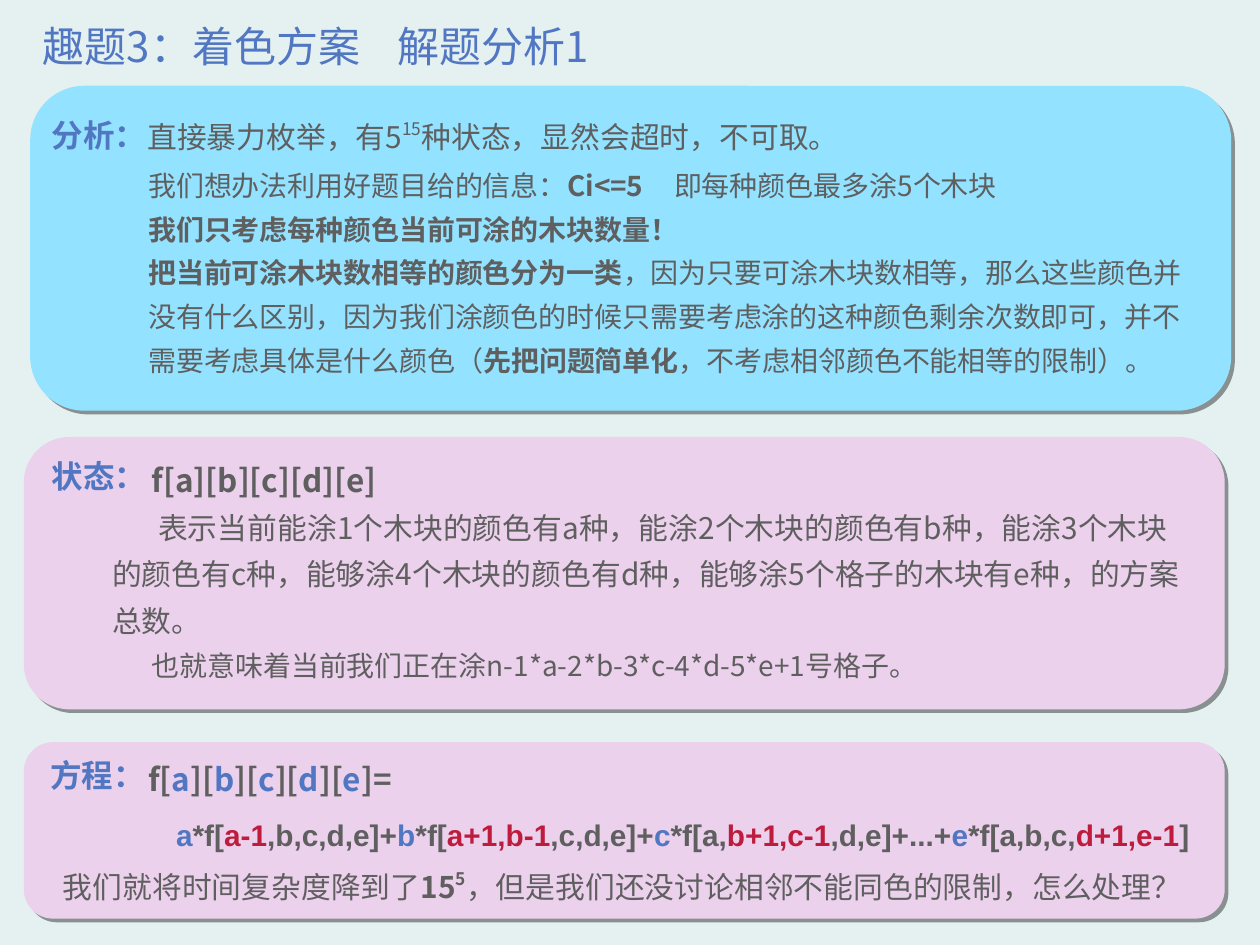
"""Build the slide analysing the block-colouring puzzle."""
from lxml import etree
from pptx import Presentation, util as u
from pptx.dml.color import RGBColor
from pptx.enum import shapes, text
from pptx.oxml.ns import qn

CJK, ARIAL = "Noto Sans CJK SC", "Arial"
BACK = RGBColor(0xE5, 0xF1, 0xF1)
SKY = RGBColor(0x93, 0xE2, 0xFF)
PINK = RGBColor(0xEC, 0xD1, 0xED)
BLUE = RGBColor(0x52, 0x77, 0xC2)
GREY = RGBColor(0x5F, 0x5F, 0x5F)
RED = RGBColor(0xBE, 0x1C, 0x3D)
COLOURS = {"g": GREY, "u": BLUE, "r": RED}

TITLE = "趣题3：着色方案\t解题分析1"
PANEL_WIDTH = 24.21
PANELS = [(0.61, 1.73, 6.55, SKY), (0.48, 8.81, 5.49, PINK), (0.48, 14.96, 3.56, PINK)]
LABELS = [("分析：", 0.79, 2.06), ("状态：", 0.79, 8.94), ("方程：", 0.76, 14.96)]

# Run styles: g grey, u blue, r red, b bold, ^ superscript
BRUTE_FORCE = [("直接暴力枚举，有5", "g"), ("15", "g^"), ("种状态，显然会超时，不可取。", "g")]
HINT = [("我们想办法利用好题目给的信息：", "g"), ("Ci<=5", "gb"), ("\t即每种颜色最多涂5个木块", "g")]
IDEA = [("我们只考虑每种颜色当前可涂的木块数量！", "gb")]
GROUPING = [
    ("把当前可涂木块数相等的颜色分为一类", "gb"),
    ("，因为只要可涂木块数相等，那么这些颜色并没有什么区别，因为我们涂颜色的时候"
     "只需要考虑涂的这种颜色剩余次数即可，并不需要考虑具体是什么颜色（", "g"),
    ("先把问题简单化", "gb"),
    ("，不考虑相邻颜色不能相等的限制）。", "g"),
]
STATE = [("f[a][b][c][d][e]", "gb")]
MEANING = [("表示当前能涂1个木块的颜色有a种，能涂2个木块的颜色有b种，能涂3个木块的颜色有c种，"
            "能够涂4个木块的颜色有d种，能够涂5个格子的木块有e种，的方案总数。", "g")]
POSITION = [("也就意味着当前我们正在涂n-1*a-2*b-3*c-4*d-5*e+1号格子。", "g")]
LEFT_SIDE = [("f[", "gb"), ("a", "ub"), ("][", "gb"), ("b", "ub"), ("][", "gb"), ("c", "ub"),
             ("][", "gb"), ("d", "ub"), ("][", "gb"), ("e", "ub"), ("]=", "gb")]
RIGHT_SIDE = [("a", "ub"), ("*f[", "gb"), ("a-1", "rb"), (",b,c,d,e]+", "gb"),
              ("b", "ub"), ("*f[", "gb"), ("a+1,b-1", "rb"), (",c,d,e]+", "gb"),
              ("c", "ub"), ("*f[a,", "gb"), ("b+1,c-1", "rb"), (",d,e]+...+", "gb"),
              ("e", "ub"), ("*f[a,b,c,", "gb"), ("d+1,e-1", "rb"), ("]", "gb")]
COST = [("我们就将时间复杂度降到了", "g"), ("15", "gb"), ("5", "gb^"),
        ("，但是我们还没讨论相邻不能同色的限制，怎么处理？", "g")]

BODIES = [
    ((2.72, 2.03, 21.72, 1.2), CJK, [(17, 0, BRUTE_FORCE)]),
    ((2.74, 3.07, 21.72, 4.67), CJK, [(16, 0, HINT), (16, 0, IDEA), (16, 0, GROUPING)]),
    ((2.01, 8.94, 22.1, 5), CJK, [(18, 0.8, STATE), (17, 0.93, MEANING), (16, 0.8, POSITION)]),
    ((2.74, 14.96, 22.1, 1.24), CJK, [(18, 0, LEFT_SIDE)]),
    ((3.3, 16.13, 21.51, 1.19), ARIAL, [(17, 0, RIGHT_SIDE)]),
    ((1.02, 17.15, 23.67, 1.22), CJK, [(17, 0, COST)]),
]
HINT_TAB, TITLE_TAB = 10.6, 7.15


def add_run(p, words, style, size, font):
    r = p.add_run()
    r.text = words
    r.font.size, r.font.name = u.Pt(size), font
    r.font.bold = "b" in style
    r.font.color.rgb = COLOURS[style[0]]
    rpr = r._r.get_or_add_rPr()
    etree.SubElement(rpr, qn("a:ea"), typeface=CJK)
    if "^" in style:
        rpr.set("baseline", "45000")


def fill_paragraph(p, runs, size, font, spacing, indent=0, tab=HINT_TAB):
    p.line_spacing = spacing
    p.alignment = text.PP_ALIGN.LEFT
    ppr = p._p.get_or_add_pPr()
    if indent:
        ppr.set("marL", "0")
        ppr.set("indent", str(u.Cm(indent)))
    if any("\t" in words for words, _ in runs):
        tabs = etree.SubElement(ppr, qn("a:tabLst"))
        etree.SubElement(tabs, qn("a:tab"), pos=str(u.Cm(tab)), algn="l")
    for words, style in runs:
        add_run(p, words, style, size, font)


def add_panel(s, left, top, height, colour):
    sp = s.shapes.add_shape(shapes.MSO_SHAPE.FLOWCHART_ALTERNATE_PROCESS,
                            *map(u.Cm, (left, top, PANEL_WIDTH, height)))
    sp.fill.solid()
    sp.fill.fore_color.rgb = colour
    sp.line.fill.background()
    sp.shadow.inherit = False
    effects = sp._element.spPr.find(qn("a:effectLst"))
    shadow = etree.SubElement(effects, qn("a:outerShdw"), blurRad="0", dist=str(u.Pt(3)),
                              dir="2700000", algn="tl", rotWithShape="0")
    black = etree.SubElement(shadow, qn("a:srgbClr"), val="000000")
    etree.SubElement(black, qn("a:alpha"), val="40000")


def add_text(s, box, font, paragraphs, spacing):
    tf = s.shapes.add_textbox(*map(u.Cm, box)).text_frame
    tf.word_wrap = True
    tf.auto_size = text.MSO_AUTO_SIZE.SHAPE_TO_FIT_TEXT
    for i, (size, indent, runs) in enumerate(paragraphs):
        p = tf.add_paragraph() if i else tf.paragraphs[0]
        fill_paragraph(p, runs, size, font, spacing, indent)


def main():
    prs = Presentation()
    prs.slide_width, prs.slide_height = u.Cm(25.4), u.Cm(19.05)
    s = prs.slides.add_slide(prs.slide_layouts[5])
    s.background.fill.solid()
    s.background.fill.fore_color.rgb = BACK

    title = s.shapes.title
    title.left, title.top, title.width, title.height = map(u.Cm, (0.61, -0.18, 21.9, 2.34))
    tf = title.text_frame
    tf.auto_size = text.MSO_AUTO_SIZE.NONE
    tf.vertical_anchor = text.MSO_ANCHOR.MIDDLE
    fill_paragraph(tf.paragraphs[0], [(TITLE, "u")], 24, CJK, 0.9, tab=TITLE_TAB)

    for panel in PANELS:
        add_panel(s, *panel)
    for words, left, top in LABELS:
        add_text(s, (left, top, 21.46, 1.17), ARIAL, [(18, 0, [(words, "ub")])], 1.2)
    for box, font, paragraphs in BODIES:
        add_text(s, box, font, paragraphs, 1.3)
    prs.save("out.pptx")


if __name__ == "__main__":
    main()
